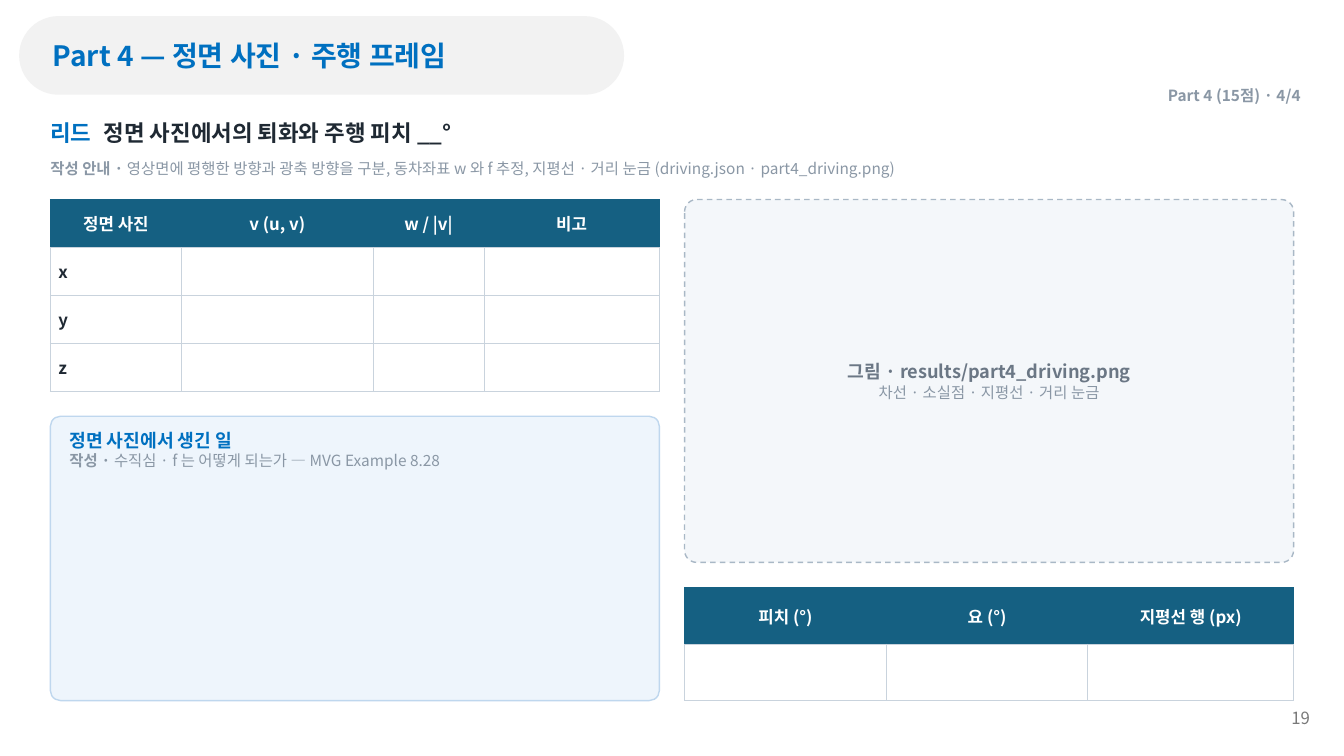
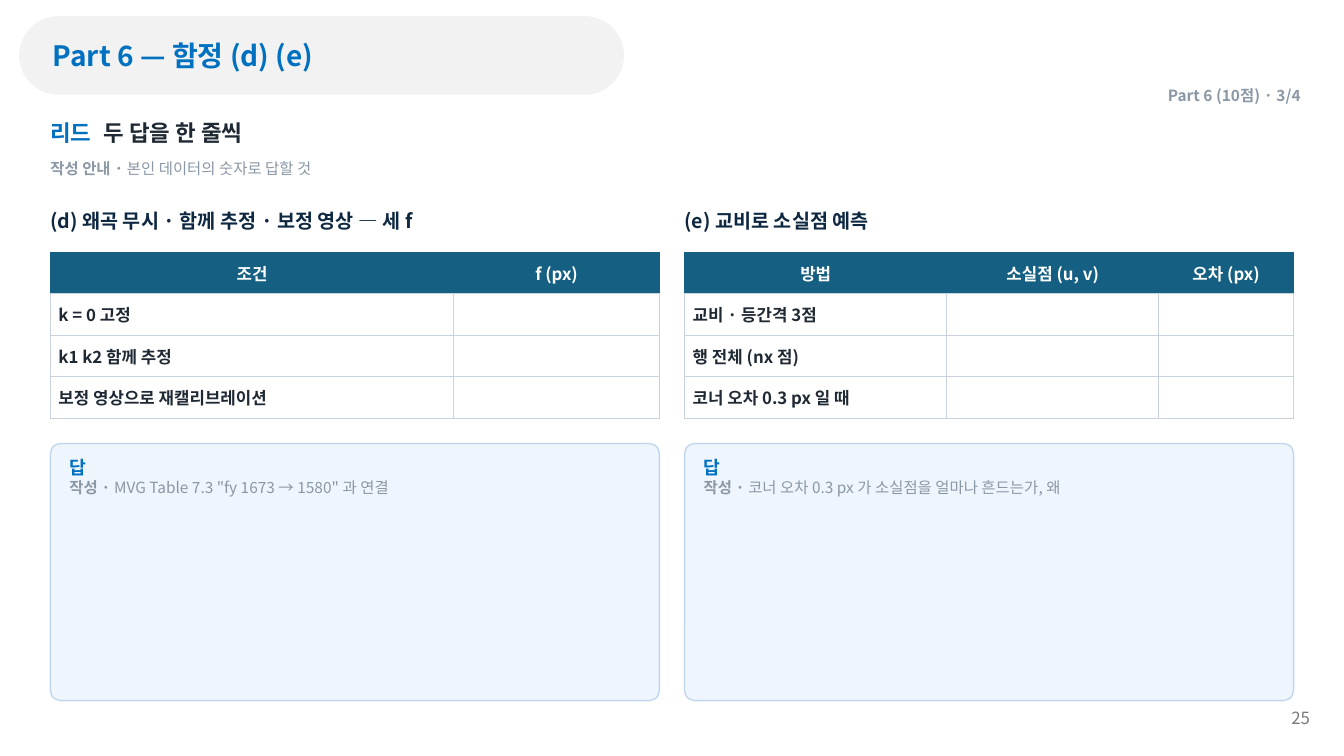
from dataclasses import dataclass
from typing import Any

from lxml import etree
from pptx import Presentation
from pptx.dml.color import RGBColor
from pptx.enum.dml import MSO_LINE
from pptx.enum.shapes import MSO_SHAPE
from pptx.enum.text import MSO_ANCHOR, PP_ALIGN
from pptx.oxml.ns import qn
from pptx.util import Inches, Pt

FONT = "Noto Sans CJK KR"
LEFT, CENTER, RIGHT = PP_ALIGN.LEFT, PP_ALIGN.CENTER, PP_ALIGN.RIGHT
TOP, MIDDLE = MSO_ANCHOR.TOP, MSO_ANCHOR.MIDDLE
ROUNDED = MSO_SHAPE.ROUNDED_RECTANGLE
DASH = MSO_LINE.DASH

COLORS = {
    "accent": "0070C0",
    "band": "F2F2F2",
    "number": "797979",
    "hint": "8A97A5",
    "ink": "1F2933",
    "heading": "0E2841",
    "header": "156082",
    "white": "FFFFFF",
    "grid": "C9D3DD",
    "answer": "EEF5FC",
    "answer_line": "BFD7EE",
    "figure": "F4F7FA",
    "figure_line": "A9B8C6",
    "caption": "6B7785",
}

MARGIN = 0.5
CONTENT_WIDTH = 12.33
GAP = 0.25
COLUMN_WIDTH = (CONTENT_WIDTH - GAP) / 2
COLUMNS = (MARGIN, MARGIN + COLUMN_WIDTH + GAP)
BODY_TOP, BODY_BOTTOM = 1.98, 6.95
HEADING_STEP = 0.52
LEAD_TAB = 0.53
NO_INSETS = (0, 0, 0, 0)
DEFAULT_INSETS = (0.1, 0.05, 0.1, 0.05)


@dataclass(frozen=True)
class Area:
    left: float
    top: float
    width: float
    height: float

    @property
    def lengths(self) -> tuple:
        return tuple(Inches(n) for n in (self.left, self.top, self.width, self.height))


@dataclass(frozen=True)
class Span:
    text: str
    size: float
    color: str
    bold: bool = True


@dataclass(frozen=True)
class Header:
    title: str
    progress: str
    lead: str
    guide: str
    number: int


@dataclass(frozen=True)
class Grid:
    widths: tuple[float, ...]
    titles: tuple[str, ...]
    labels: tuple[str, ...]
    height: float


@dataclass(frozen=True)
class Question:
    heading: str
    grid: Grid
    hint: str


def color(name: str) -> RGBColor:
    return RGBColor.from_string(COLORS[name])


def add_span(para: Any, span: Span) -> None:
    run = para.add_run()
    run.text = span.text
    run.font.name = FONT
    run.font.size = Pt(span.size)
    run.font.bold = span.bold
    run.font.color.rgb = color(span.color)
    etree.SubElement(run.font._element, qn("a:ea"), typeface=FONT)


def write(frame: Any, *lines: list[Span], align: Any = LEFT, anchor: Any = MIDDLE,
          insets: tuple[float, ...] = NO_INSETS, tab: float = 0) -> None:
    """Fill a text frame, one list of spans for each paragraph."""
    frame.word_wrap = True
    frame.vertical_anchor = anchor
    (frame.margin_left, frame.margin_top,
     frame.margin_right, frame.margin_bottom) = (Inches(n) for n in insets)
    for index, spans in enumerate(lines):
        para = frame.add_paragraph() if index else frame.paragraphs[0]
        para.alignment = align
        if tab:
            stops = etree.SubElement(para._p.get_or_add_pPr(), qn("a:tabLst"))
            etree.SubElement(stops, qn("a:tab"), pos=str(Inches(tab)), algn="l")
        for span in spans:
            add_span(para, span)


def add_text(page: Any, area: Area, *spans: Span, **layout: Any) -> None:
    box = page.shapes.add_textbox(*area.lengths)
    write(box.text_frame, list(spans), **layout)


def add_panel(page: Any, area: Area, fill: str, radius: float,
              line: str | None = None, dash: Any = None) -> Any:
    panel = page.shapes.add_shape(ROUNDED, *area.lengths)
    panel.shadow.inherit = False
    panel.adjustments[0] = radius / area.height
    panel.fill.solid()
    panel.fill.fore_color.rgb = color(fill)
    if line is None:
        panel.line.fill.background()
    else:
        panel.line.color.rgb = color(line)
        panel.line.width = Pt(1)
        if dash is not None:
            panel.line.dash_style = dash
    return panel


def add_header(page: Any, header: Header) -> None:
    band = add_panel(page, Area(0.19, 0.16, 6, 0.78), "band", radius=0.39)
    write(band.text_frame, [Span(header.title, 20, "accent")],
          insets=(0.22, 0.05, 0.1, 0.05))
    add_text(page, Area(12.64, 6.92, 0.45, 0.4),
             Span(str(header.number), 12, "number", bold=False),
             align=RIGHT, insets=DEFAULT_INSETS)
    add_text(page, Area(9.45, 0.8, 3.45, 0.3),
             Span(header.progress, 11, "hint"), align=RIGHT)
    add_text(page, Area(MARGIN, 1.1, CONTENT_WIDTH, 0.42),
             Span("리드\t", 16, "accent"), Span(header.lead, 16, "ink"), tab=LEAD_TAB)
    add_text(page, Area(MARGIN, 1.5, CONTENT_WIDTH, 0.34),
             Span("작성 안내 · ", 11, "hint"),
             Span(header.guide, 11, "hint", bold=False))


def add_borders(cell: Any, name: str) -> None:
    properties = cell._tc.get_or_add_tcPr()
    for side in ("lnL", "lnR", "lnT", "lnB"):
        line = etree.SubElement(properties, qn(f"a:{side}"), w=str(Pt(0.75)))
        fill = etree.SubElement(line, qn("a:solidFill"))
        etree.SubElement(fill, qn("a:srgbClr"), val=COLORS[name])


def fill_cell(cell: Any, text: str, is_title: bool) -> None:
    add_borders(cell, "header" if is_title else "grid")
    cell.fill.solid()
    cell.fill.fore_color.rgb = color("header" if is_title else "white")
    cell.vertical_anchor = MIDDLE
    cell.margin_left = cell.margin_right = Inches(0.08)
    cell.margin_top = cell.margin_bottom = Inches(0.03)
    para = cell.text_frame.paragraphs[0]
    para.alignment = CENTER if is_title else LEFT
    if text:
        add_span(para, Span(text, 12, "white" if is_title else "ink"))
    else:
        etree.SubElement(para._p, qn("a:endParaRPr"), sz="1200")


def add_grid(page: Any, left: float, top: float, grid: Grid) -> None:
    """Draw a title row, then one row to fill in for each label."""
    blanks = ("",) * (len(grid.widths) - 1)
    rows = [grid.titles, *((label, *blanks) for label in grid.labels)]
    area = Area(left, top, COLUMN_WIDTH, grid.height)
    table = page.shapes.add_table(len(rows), len(grid.widths), *area.lengths).table
    table.horz_banding = False
    for column, width in zip(table.columns, grid.widths):
        column.width = Inches(width)
    for index, texts in enumerate(rows):
        table.rows[index].height = Inches(grid.height / len(rows))
        for position, text in enumerate(texts):
            fill_cell(table.cell(index, position), text, is_title=index == 0)


def add_answer(page: Any, left: float, top: float, title: str, hint: str) -> None:
    """Draw an answer panel that reaches down to the bottom of the body."""
    area = Area(left, top, COLUMN_WIDTH, BODY_BOTTOM - top)
    panel = add_panel(page, area, "answer", radius=0.1, line="answer_line")
    write(panel.text_frame, [Span(title, 13, "accent")],
          [Span("작성 · ", 11, "hint"), Span(hint, 11, "hint", bold=False)],
          anchor=TOP, insets=(0.16, 0.1, 0.16, 0.08))
    panel.text_frame.paragraphs[-1].space_after = Pt(4)


def add_figure(page: Any, area: Area, title: str, caption: str) -> None:
    panel = add_panel(page, area, "figure", radius=0.12, line="figure_line", dash=DASH)
    write(panel.text_frame, [Span(title, 13, "caption")],
          [Span(caption, 11, "hint", bold=False)],
          align=CENTER, insets=(0.12,) * 4)


def add_question(page: Any, left: float, question: Question) -> None:
    add_text(page, Area(left, BODY_TOP, COLUMN_WIDTH, 0.42),
             Span(question.heading, 14, "heading"))
    top = BODY_TOP + HEADING_STEP
    add_grid(page, left, top, question.grid)
    add_answer(page, left, top + question.grid.height + GAP, "답", question.hint)


def build_driving_page(page: Any) -> None:
    add_header(page, Header(
        "Part 4 — 정면 사진 · 주행 프레임", "Part 4 (15점) · 4/4",
        "정면 사진에서의 퇴화와 주행 피치 __°",
        "영상면에 평행한 방향과 광축 방향을 구분, 동차좌표 w 와 f 추정, "
        "지평선 · 거리 눈금 (driving.json · part4_driving.png)", 19))
    left, right = COLUMNS
    axes = Grid((1.3, 1.9, 1.1, 1.74), ("정면 사진", "v (u, v)", "w / |v|", "비고"),
                ("x", "y", "z"), 1.9)
    add_grid(page, left, BODY_TOP, axes)
    add_answer(page, left, BODY_TOP + axes.height + GAP, "정면 사진에서 생긴 일",
               "수직심 · f 는 어떻게 되는가 — MVG Example 8.28")
    figure = Area(right, BODY_TOP, COLUMN_WIDTH, 3.6)
    add_figure(page, figure, "그림 · results/part4_driving.png",
               "차선 · 소실점 · 지평선 · 거리 눈금")
    angles = Grid((2, 2, 2.04), ("피치 (°)", "요 (°)", "지평선 행 (px)"), ("",), 1.12)
    add_grid(page, right, figure.top + figure.height + GAP, angles)


def build_pitfall_page(page: Any) -> None:
    add_header(page, Header(
        "Part 6 — 함정 (d) (e)", "Part 6 (10점) · 3/4",
        "두 답을 한 줄씩", "본인 데이터의 숫자로 답할 것", 25))
    questions = (
        Question("(d) 왜곡 무시 · 함께 추정 · 보정 영상 — 세 f",
                 Grid((4, 2.04), ("조건", "f (px)"),
                      ("k = 0 고정", "k1 k2 함께 추정", "보정 영상으로 재캘리브레이션"), 1.65),
                 'MVG Table 7.3 "fy 1673 → 1580" 과 연결'),
        Question("(e) 교비로 소실점 예측",
                 Grid((2.6, 2.1, 1.34), ("방법", "소실점 (u, v)", "오차 (px)"),
                      ("교비 · 등간격 3점", "행 전체 (nx 점)", "코너 오차 0.3 px 일 때"), 1.65),
                 "코너 오차 0.3 px 가 소실점을 얼마나 흔드는가, 왜"),
    )
    for left, question in zip(COLUMNS, questions):
        add_question(page, left, question)


def main() -> None:
    deck = Presentation()
    deck.slide_width, deck.slide_height = Inches(13.33), Inches(7.5)
    blank = deck.slide_layouts[6]
    for build in (build_driving_page, build_pitfall_page):
        build(deck.slides.add_slide(blank))
    deck.save("out.pptx")


if __name__ == "__main__":
    main()
